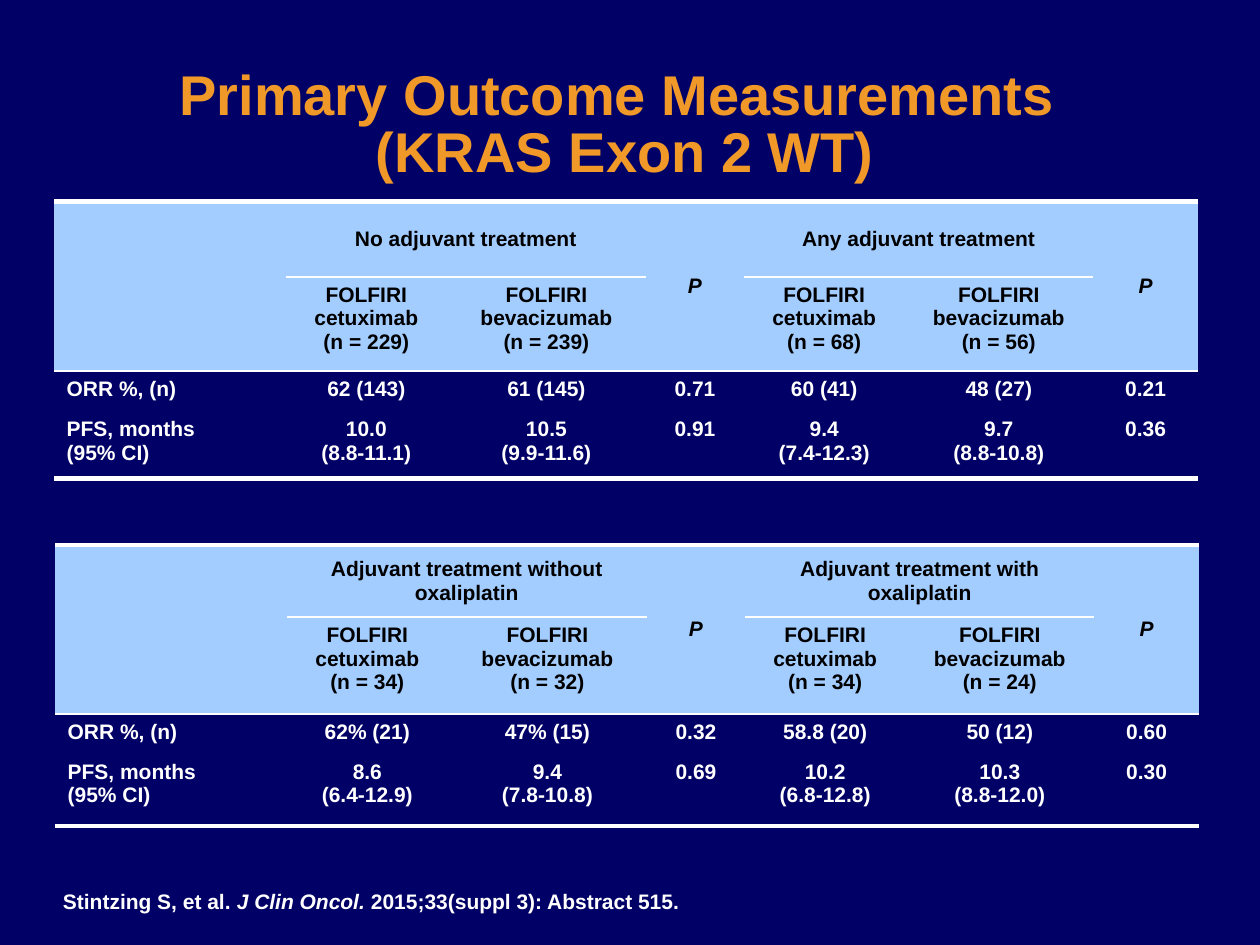
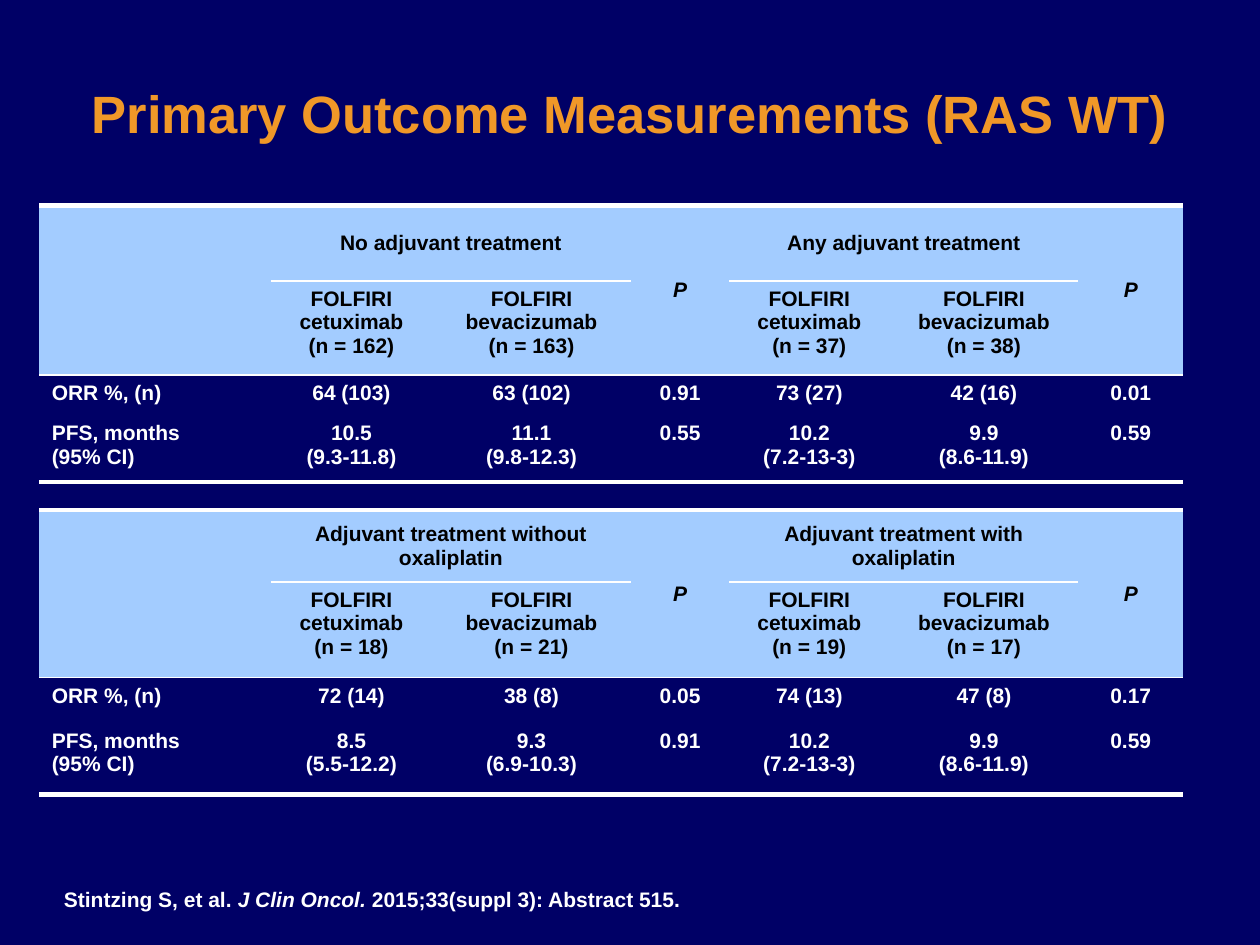
from dataclasses import dataclass

from pptx import Presentation
from pptx.dml.color import RGBColor
from pptx.enum.text import MSO_ANCHOR as Anchor, MSO_AUTO_SIZE as AutoSize, PP_ALIGN as Align
from pptx.oxml import parse_xml
from pptx.oxml.ns import nsdecls, qn
from pptx.util import Cm, Pt


@dataclass(frozen=True)
class Theme:
    font: str = "Arial"
    background: str = "000066"
    title: str = "F09828"
    shadow: str = "000000"
    header_fill: str = "A3CCFF"
    header_text: str = "000000"
    body_text: str = "FFFFFF"
    rule: str = "FFFFFF"
    text_size: float = 12
    thick_rule: float = 3
    thin_rule: float = 1


THEME = Theme()
COLUMN_WIDTHS = (4.67, 3.25, 4.01, 1.98, 3.23, 3.81, 2.11)
GROUP_COLUMNS = (1, 4)
P_COLUMNS = (3, 6)
ADJUVANT = ("No adjuvant treatment", "Any adjuvant treatment")
OXALIPLATIN = ("Adjuvant treatment without oxaliplatin", "Adjuvant treatment with oxaliplatin")
ADJUVANT_ROWS = (1.52, 1.9, 0.81, 1.35)

SLIDES = [
    {
        "title": "Primary Outcome Measurements \v(KRAS Exon 2 WT)",
        "title_box": (-0.1, 0.97, 25.4, 3.18),
        "title_size": 32,
        "line_spacing": 0.85,
        "citation_box": (1.02, 17.78, 16.41, 0.76),
        "tables": [
            {
                "at": (1.09, 4.06), "rows": ADJUVANT_ROWS, "groups": ADJUVANT,
                "counts": (229, 239, 68, 56),
                "orr": ("62 (143)", "61 (145)", "0.71", "60 (41)", "48 (27)", "0.21"),
                "pfs": ("10.0\n(8.8-11.1)", "10.5\n(9.9-11.6)", "0.91",
                        "9.4\n(7.4-12.3)", "9.7\n(8.8-10.8)", "0.36"),
            },
            {
                "at": (1.11, 10.99), "rows": (1.45, 1.95, 0.81, 1.45), "groups": OXALIPLATIN,
                "counts": (34, 32, 34, 24),
                "orr": ("62% (21)", "47% (15)", "0.32", "58.8 (20)", "50 (12)", "0.60"),
                "pfs": ("8.6\n(6.4-12.9)", "9.4\n(7.8-10.8)", "0.69",
                        "10.2\n(6.8-12.8)", "10.3\n(8.8-12.0)", "0.30"),
            },
        ],
    },
    {
        "title": "Primary Outcome Measurements (RAS WT)",
        "title_box": (0.94, 0.76, 23.52, 3.18),
        "title_size": 30,
        "line_spacing": 0.9,
        "citation_box": (1.04, 17.75, 16.41, 0.76),
        "tables": [
            {
                "at": (0.79, 4.14), "rows": ADJUVANT_ROWS, "groups": ADJUVANT,
                "counts": (162, 163, 37, 38),
                "orr": ("64 (103)", "63 (102)", "0.91", "73 (27)", "42 (16)", "0.01"),
                "pfs": ("10.5\n(9.3-11.8)", "11.1\n(9.8-12.3)", "0.55",
                        "10.2\n(7.2-13-3)", "9.9\n(8.6-11.9)", "0.59"),
            },
            {
                "at": (0.79, 10.28), "rows": (1.45, 1.93, 0.91, 1.45), "groups": OXALIPLATIN,
                "counts": (18, 21, 19, 17),
                "orr": ("72 (14)", "38 (8)", "0.05", "74 (13)", "47 (8)", "0.17"),
                "pfs": ("8.5\n(5.5-12.2)", "9.3\n(6.9-10.3)", "0.91",
                        "10.2\n(7.2-13-3)", "9.9\n(8.6-11.9)", "0.59"),
            },
        ],
    },
]


def style_font(font, color, size=THEME.text_size):
    font.name = THEME.font
    font.size = Pt(size)
    font.bold = True
    font.color.rgb = RGBColor.from_string(color)


def add_text_shadow(para):
    fill = para._p.pPr.find(qn("a:defRPr")).find(qn("a:solidFill"))
    effects = parse_xml(
        f'<a:effectLst {nsdecls("a")}><a:outerShdw blurRad="38100" dist="38100" dir="2700000">'
        f'<a:srgbClr val="{THEME.shadow}"/></a:outerShdw></a:effectLst>')
    fill.addnext(effects)


def add_title(page, text, box, size, line_spacing):
    title = page.shapes.title
    title.left, title.top, title.width, title.height = map(Cm, box)
    frame = title.text_frame
    frame.text = text
    frame.word_wrap = True
    frame.auto_size = AutoSize.NONE
    frame.vertical_anchor = Anchor.MIDDLE
    para = frame.paragraphs[0]
    para.alignment = Align.CENTER
    para.line_spacing = line_spacing
    style_font(para.font, THEME.title, size)
    add_text_shadow(para)


def add_citation(page, box):
    frame = page.shapes.add_textbox(*map(Cm, box)).text_frame
    frame.word_wrap = True
    para = frame.paragraphs[0]
    style_font(para.font, THEME.body_text)
    for text, italic in (("Stintzing S, et al. ", False), ("J Clin Oncol. ", True),
                         ("2015;33(suppl 3): Abstract 515.", False)):
        span = para.add_run()
        span.text = text
        span.font.italic = italic


def write_cell(cell, text, color, align=Align.CENTER, italic=False):
    cell.text = text
    for para in cell.text_frame.paragraphs:
        para.alignment = align
        style_font(para.font, color)
        para.font.italic = italic


def add_rule(cell, side, width):
    rule = parse_xml(
        f'<a:{side} {nsdecls("a")} w="{Pt(width)}"><a:solidFill>'
        f'<a:srgbClr val="{THEME.rule}"/></a:solidFill></a:{side}>')
    properties = cell._tc.get_or_add_tcPr()
    properties.insert(len(properties.findall(qn("a:lnT"))), rule)


def fill_header(table, groups, counts):
    for column in (0, *P_COLUMNS):
        table.cell(0, column).merge(table.cell(1, column))
    for column in P_COLUMNS:
        write_cell(table.cell(0, column), "P", THEME.header_text, italic=True)
        table.cell(0, column).vertical_anchor = Anchor.MIDDLE
    for index, (column, group) in enumerate(zip(GROUP_COLUMNS, groups)):
        heading = table.cell(0, column)
        heading.merge(table.cell(0, column + 1))
        write_cell(heading, group, THEME.header_text)
        heading.vertical_anchor = Anchor.MIDDLE
        for offset, arm in enumerate(("FOLFIRI\ncetuximab", "FOLFIRI bevacizumab")):
            count = counts[2 * index + offset]
            write_cell(table.cell(1, column + offset), f"{arm}\n(n = {count})", THEME.header_text)


def fill_body(table, orr, pfs):
    for row, values in ((2, ("ORR %, (n)", *orr)), (3, ("PFS, months\n(95% CI)", *pfs))):
        for column, value in enumerate(values):
            align = Align.CENTER if column else Align.LEFT
            write_cell(table.cell(row, column), value, THEME.body_text, align)


def paint_cells(table):
    rules = (
        {"lnT": THEME.thick_rule, "lnB": THEME.thin_rule},
        {"lnT": THEME.thin_rule, "lnB": THEME.thin_rule},
        {},
        {"lnB": THEME.thick_rule},
    )
    for row, sides in enumerate(rules):
        for column in range(len(COLUMN_WIDTHS)):
            cell = table.cell(row, column)
            if row < 2:
                cell.fill.solid()
                cell.fill.fore_color.rgb = RGBColor.from_string(THEME.header_fill)
            else:
                cell.fill.background()
            for side, width in sides.items():
                add_rule(cell, side, width)


def add_outcome_table(page, at, rows, groups, counts, orr, pfs):
    box = (*at, sum(COLUMN_WIDTHS), sum(rows))
    table = page.shapes.add_table(len(rows), len(COLUMN_WIDTHS), *map(Cm, box)).table
    table.first_row = table.horz_banding = False
    style = table._tbl.tblPr.find(qn("a:tableStyleId"))
    style.text = "{2D5ABB26-0587-4C30-8999-92F81FD0307C}"
    for column, width in zip(table.columns, COLUMN_WIDTHS):
        column.width = Cm(width)
    for row, height in zip(table.rows, rows):
        row.height = Cm(height)
    fill_header(table, groups, counts)
    fill_body(table, orr, pfs)
    paint_cells(table)


def add_outcome_slide(deck, content):
    page = deck.slides.add_slide(deck.slide_layouts[5])
    add_title(page, content["title"], content["title_box"], content["title_size"],
              content["line_spacing"])
    for table in content["tables"]:
        add_outcome_table(page, **table)
    add_citation(page, content["citation_box"])


def main():
    deck = Presentation()
    deck.slide_width, deck.slide_height = Cm(25.4), Cm(19.05)
    fill = deck.slide_master.background.fill
    fill.solid()
    fill.fore_color.rgb = RGBColor.from_string(THEME.background)
    for content in SLIDES:
        add_outcome_slide(deck, content)
    deck.save("out.pptx")


if __name__ == "__main__":
    main()
